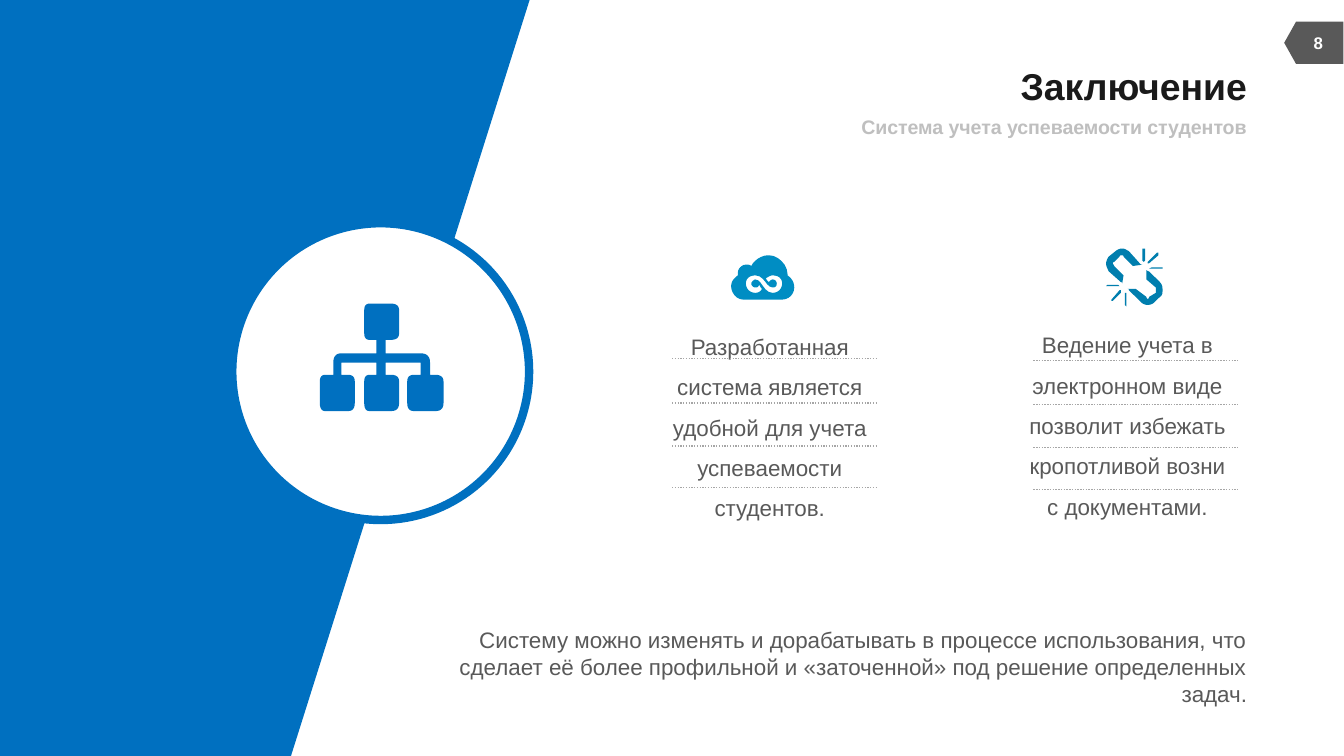
from dataclasses import dataclass
from math import comb

from lxml.etree import SubElement
from pptx import Presentation
from pptx.dml.color import RGBColor
from pptx.enum.dml import MSO_LINE as Dash
from pptx.enum.shapes import MSO_CONNECTOR as Link, MSO_SHAPE as Kind
from pptx.enum.text import MSO_ANCHOR as Anchor, PP_ALIGN as Align
from pptx.oxml.ns import qn
from pptx.util import Cm, Pt

BLUE = RGBColor(0x00, 0x70, 0xC0)
CYAN = RGBColor(0x00, 0x8D, 0xC3)
TEAL = RGBColor(0x00, 0x7E, 0xAE)
WHITE = RGBColor(0xFF, 0xFF, 0xFF)
BLACK = RGBColor(0x1A, 0x1A, 0x1A)
DARK = RGBColor(0x59, 0x59, 0x59)
GREY = RGBColor(0xA6, 0xA6, 0xA6)
PALE = RGBColor(0xBF, 0xBF, 0xBF)

UNIT = 0.0254
STEPS = 6
RULES = (0, 0.84, 1.65, 2.44)
SPAN = 3.88
FLUSH = dict.fromkeys(("margin_left", "margin_top", "margin_right", "margin_bottom"), 0)
MIDDLE = {"vertical_anchor": Anchor.MIDDLE}
LOOSE = {"line_spacing": 1.5, "space_before": Pt(4)}

Point = tuple[float, float]


@dataclass
class Label:
    text: str
    box: tuple[float, float, float, float]
    size: float
    color: RGBColor
    align: Align
    bold: bool
    frame: dict
    para: dict


@dataclass
class Column:
    text: str
    left: float
    top: float
    rule_x: float
    rule_y: float


@dataclass
class Icon:
    color: RGBColor
    loops: tuple[str, ...]


LABELS = [
    Label("Заключение", (7.9, 1.12, 15.67, 0.99), 20, BLACK, Align.RIGHT, True,
          FLUSH | MIDDLE, {}),
    Label("Система учета успеваемости студентов", (12.14, 2.11, 11.43, 0.56), 10.5, PALE,
          Align.RIGHT, True, FLUSH | MIDDLE, {}),
    Label("8", (24.38, 0.43, 1.07, 0.76), 9, WHITE, Align.CENTER, True, MIDDLE, {}),
    Label("Систему можно изменять и дорабатывать в процессе использования, что сделает её "
          "более профильной и «заточенной» под решение определенных задач.",
          (7.47, 11.84, 16.1, 1.96), 12, DARK, Align.RIGHT, False, FLUSH, {}),
]

COLUMNS = [
    Column("Разработанная система является удобной для учета успеваемости студентов.",
           12.34, 5.92, 12.7, 6.78),
    Column("Ведение учета в электронном виде позволит избежать кропотливой возни "
           "с документами.", 19.1, 5.89, 19.53, 6.81),
]

TREE = Icon(BLUE, (
    "330,300 330,306/324,306 308,306 303,306/303,300 303,284 303,279/308,279 313,279 "
    "313,270 287,270 287,279 291,279 297,279/297,284 297,300 297,306/291,306 275,306 "
    "271,306/271,300 271,284 271,279/275,279 280,279 280,270 254,270 254,279 259,279 "
    "264,279/264,284 264,300 264,306/259,306 242,306 238,306/238,300 238,284 "
    "238,279/242,279 248,279 248,270 248,263/254,263 280,263 280,253 275,253 "
    "271,253/271,248 271,231 271,226/275,226 291,226 297,226/297,231 297,248 "
    "297,253/291,253 287,253 287,263 313,263 320,263/320,270 320,279 324,279 "
    "330,279/330,284",
))
CLOUD = Icon(CYAN, (
    "591,214 591,219/587,223/582,223 553,223 548,223/544,218/544,213 "
    "544,210/546,207/549,205 549,205/549,204/549,203 549,200/552,197/555,197 "
    "557,197/558,197/559,198 561,194/566,190/572,190 579,190/586,197/586,204 586,205 "
    "589,207/591,210/591,214",
    "562,218 564,218/566,217/567,215 566,214/566,214/565,212 564,214/563,214/562,214 "
    "561,214/559,213/559,211 559,210/561,208/562,208 567,208/568,218/575,218 "
    "579,218/582,215/582,211 582,207/579,205/575,205 573,205/572,206/570,207 "
    "570,208/571,209/572,210 573,209/574,208/575,208 577,208/578,210/578,211 "
    "578,213/577,214/575,214 570,214/569,205/562,205 558,205/555,207/555,211 "
    "555,215/558,218/562,218",
))
CHAIN = Icon(TEAL, (
    "843,198 836,191 836,190/835,190/835,190 834,190/833,190/833,191 829,195 "
    "829,195/828,195/828,196 828,197/829,197/829,198 836,205 835,211 "
    "835,211/835,210/834,210 825,202 824,200/823,198/823,196 823,195/824,192/825,191 "
    "830,187 831,186/833,185/835,185 837,185/838,186/840,187 848,196 849,197/849,197/850,197",
    "863,221 859,225 858,226/856,227/854,227 852,227/850,226/849,225 840,216 "
    "840,216/840,215/839,215 845,215 853,221 853,223/855,223/855,221 860,218 "
    "860,218/860,217/860,216 860,215/860,215/860,214 853,208 853,201 "
    "853,201/854,202/855,202 863,210 865,212/865,214/865,216 865,218/865,220/863,221",
    "823,213 824,212 832,212 833,213",
    "828,224 827,224 827,223 833,216 834,216 834,218",
    "838,227 838,228 837,227 837,218 838,218",
    "852,194 851,195 850,194 850,185 851,185 852,185",
    "855,196 854,196 854,195 861,188 862,188 862,190",
    "865,200 857,200 855,200 857,199 865,199",
))


def curve(nodes: list[Point]) -> list[Point]:
    deg = len(nodes) - 1
    count = STEPS if deg > 1 else 1
    out = []
    for step in range(1, count + 1):
        t = step / count
        mix = [comb(deg, i) * t**i * (1 - t) ** (deg - i) for i in range(deg + 1)]
        out.append(tuple(sum(m * n[axis] for m, n in zip(mix, nodes)) for axis in (0, 1)))
    return out


def trace(loop: str) -> list[Point]:
    points: list[Point] = []
    for token in loop.split():
        nodes = [tuple(float(v) * UNIT for v in pair.split(",")) for pair in token.split("/")]
        points += curve(points[-1:] + nodes) if points else nodes
    return points


def paint(shape, color: RGBColor) -> None:
    shape.shadow.inherit = False
    shape.fill.solid()
    shape.fill.fore_color.rgb = color
    shape.line.fill.background()


def outline(slide, loops: list[list[Point]], color: RGBColor) -> None:
    scaled = [[(Cm(x), Cm(y)) for x, y in loop] for loop in loops]
    pen = slide.shapes.build_freeform(*scaled[0][0])
    pen.add_line_segments(scaled[0][1:], close=True)
    for first, *rest in scaled[1:]:
        pen.move_to(*first)
        pen.add_line_segments(rest, close=True)
    paint(pen.convert_to_shape(), color)


def preset(slide, kind: Kind, box: tuple[float, ...], color: RGBColor):
    shape = slide.shapes.add_shape(kind, *map(Cm, box))
    paint(shape, color)
    return shape


def write(slide, label: Label) -> None:
    frame = slide.shapes.add_textbox(*map(Cm, label.box)).text_frame
    para = frame.paragraphs[0]
    run = para.add_run()
    run.text = label.text
    font = {"name": "Arial", "size": Pt(label.size), "bold": label.bold}
    for target, values in (
        (frame, {"word_wrap": True} | label.frame),
        (para, {"alignment": label.align} | label.para),
        (run.font, font),
        (run.font.color, {"rgb": label.color}),
    ):
        for key, value in values.items():
            setattr(target, key, value)


def rule(slide, x: float, y: float) -> None:
    line = slide.shapes.add_connector(Link.STRAIGHT, Cm(x), Cm(y), Cm(x + SPAN), Cm(y))
    line.line.color.rgb = GREY
    line.line.width = Pt(0.75)
    line.line.dash_style = Dash.ROUND_DOT
    SubElement(line._element.spPr, qn("a:effectLst"))


def column(slide, col: Column) -> None:
    write(slide, Label(col.text, (col.left, col.top, 4.42, 4.11), 12, DARK,
                       Align.CENTER, False, {}, LOOSE))
    for drop in RULES:
        rule(slide, col.rule_x, col.rule_y + drop)


def main() -> None:
    deck = Presentation()
    deck.slide_width, deck.slide_height = Cm(25.4), Cm(14.29)
    slide = deck.slides.add_slide(deck.slide_layouts[6])
    tag = preset(slide, Kind.FLOWCHART_OFFPAGE_CONNECTOR, (24.43, 0.25, 0.8, 1.12), DARK)
    tag.rotation = 90
    outline(slide, [[(0, 0), (10.01, 0), (5.5, 14.29), (0, 14.29)]], BLUE)
    disc = preset(slide, Kind.OVAL, (4.39, 4.22, 5.61, 5.61), WHITE)
    disc.line.color.rgb = BLUE
    disc.line.width = Pt(4.5)
    for label in LABELS:
        write(slide, label)
    for col in COLUMNS:
        column(slide, col)
    for icon in (TREE, CLOUD, CHAIN):
        outline(slide, [trace(loop) for loop in icon.loops], icon.color)
    deck.save("out.pptx")


if __name__ == "__main__":
    main()
